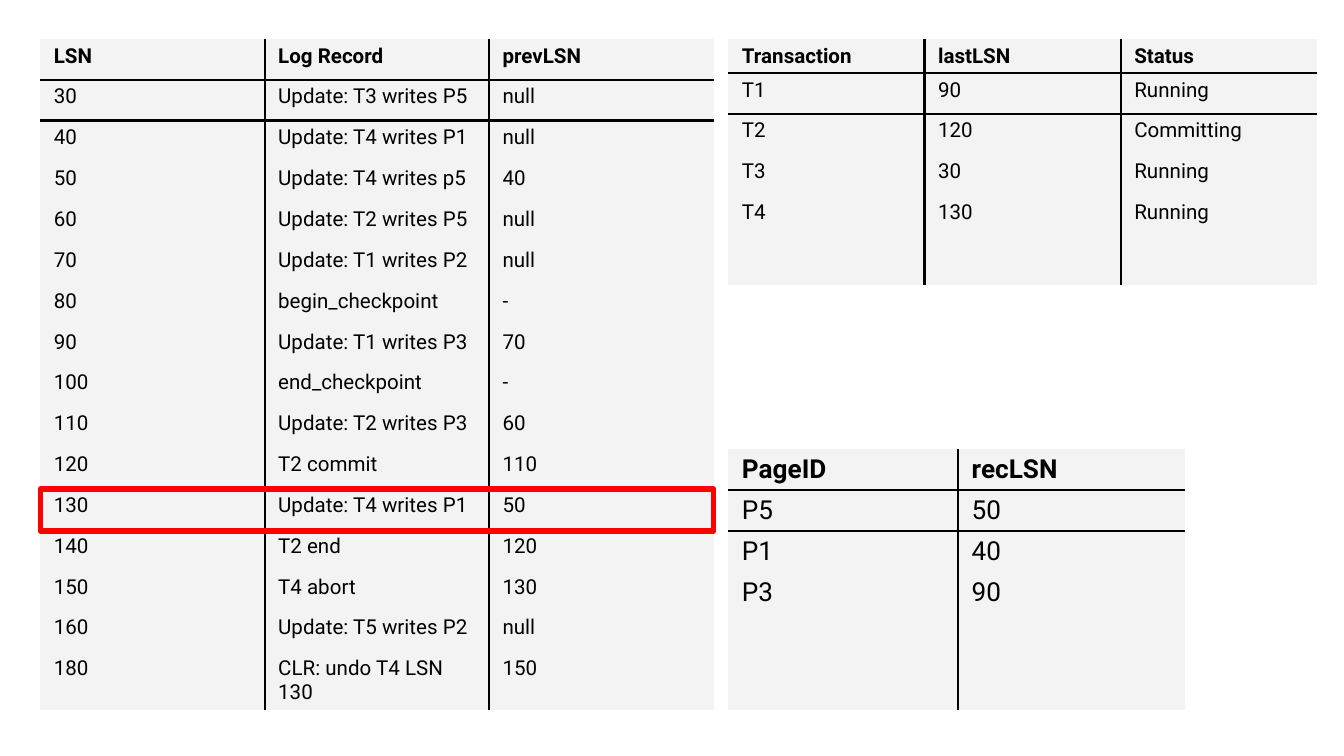
from lxml import etree
from pptx import Presentation
from pptx.dml.color import RGBColor
from pptx.enum.shapes import MSO_SHAPE
from pptx.oxml.ns import qn
from pptx.util import Inches, Pt

RECTANGLE = MSO_SHAPE.RECTANGLE
BLACK = RGBColor(0x00, 0x00, 0x00)
GRAY = RGBColor(0xF3, 0xF3, 0xF3)
RED = RGBColor(0xFF, 0x00, 0x00)
FONT = "Roboto"
PLAIN_STYLE = "{2D5ABB26-0587-4C30-8999-92F81FD0307C}"
ROW = int(Inches(4.56) / 15)
EMPTY_ROW = Inches(0.36)
CELL_PADDING = int(Inches(0.3) / 8)

LOG = [
    ("LSN", "Log Record", "prevLSN"),
    ("30", "Update: T3 writes P5", "null"),
    ("40", "Update: T4 writes P1", "null"),
    ("50", "Update: T4 writes p5", "40"),
    ("60", "Update: T2 writes P5", "null"),
    ("70", "Update: T1 writes P2", "null"),
    ("80", "begin_checkpoint", "-"),
    ("90", "Update: T1 writes P3", "70"),
    ("100", "end_checkpoint", "-"),
    ("110", "Update: T2 writes P3", "60"),
    ("120", "T2 commit", "110"),
    ("130", "Update: T4 writes P1", "50"),
    ("140", "T2 end", "120"),
    ("150", "T4 abort", "130"),
    ("160", "Update: T5 writes P2", "null"),
    ("180", "CLR: undo T4 LSN 130", "150"),
]
TRANSACTIONS = [
    ("Transaction", "lastLSN", "Status"),
    ("T1", "90", "Running"),
    ("T2", "120", "Committing"),
    ("T3", "30", "Running"),
    ("T4", "130", "Running"),
    ("", "", ""),
]
DIRTY_PAGES = [
    ("PageID", "recLSN"),
    ("P5", "50"),
    ("P1", "40"),
    ("P3", "90"),
    ("", ""),
    ("", ""),
]


def set_borders(cell, sides):
    tcPr = cell._tc.get_or_add_tcPr()
    for i, side in enumerate(sides):
        ln = etree.Element(qn("a:ln" + side), w=str(Pt(1.5)))
        fill = etree.SubElement(ln, qn("a:solidFill"))
        etree.SubElement(fill, qn("a:srgbClr"), val=str(BLACK))
        tcPr.insert(i, ln)


def fill_cell(cell, text, size, bold):
    cell.margin_left = cell.margin_right = Inches(0.1)
    cell.margin_top = cell.margin_bottom = CELL_PADDING
    cell.fill.solid()
    cell.fill.fore_color.rgb = GRAY
    cell.text_frame.text = text
    p = cell.text_frame.paragraphs[0]
    for r in p.runs:
        r.font.name = FONT
        r.font.size = Pt(size)
        r.font.bold = bold
        r.font.color.rgb = BLACK
    if not text:
        etree.SubElement(p._p, qn("a:endParaRPr"), sz=str(size * 100))


def add_grid(s, left, top, rows, widths, heights, size):
    last = len(widths) - 1
    frame = s.shapes.add_table(len(rows), len(widths), Inches(left), Inches(top),
                               sum(widths), sum(heights))
    table = frame.table
    table.first_row = table.horz_banding = False
    table._tbl.tblPr.find(qn("a:tableStyleId")).text = PLAIN_STYLE
    for column, width in zip(table.columns, widths):
        column.width = width
    for i, (row, height) in enumerate(zip(rows, heights)):
        table.rows[i].height = height
        for j, text in enumerate(row):
            cell = table.cell(i, j)
            fill_cell(cell, text, size, i == 0)
            shown = {"L": j > 0, "R": j < last, "T": i == 1, "B": i == 0}
            set_borders(cell, [side for side in shown if shown[side]])


def add_highlight(s, left, top, width, height):
    sp = s.shapes.add_shape(RECTANGLE, Inches(left), Inches(top),
                            Inches(width), Inches(height))
    sp.shadow.inherit = False
    sp.fill.background()
    sp.line.color.rgb = RED
    sp.line.width = Pt(3)


def main():
    prs = Presentation()
    prs.slide_width = Inches(10)
    prs.slide_height = int(prs.slide_width * 9 / 16)
    s = prs.slides.add_slide(prs.slide_layouts[6])
    add_grid(s, 0.3, 0.29, LOG, [Inches(1.67)] * 3, [ROW] * 16, 11)
    add_grid(s, 5.42, 0.29, TRANSACTIONS, [Inches(1.46)] * 3,
             [Inches(0.25)] + [ROW] * 4 + [EMPTY_ROW], 11)
    add_grid(s, 5.42, 3.34, DIRTY_PAGES, [Inches(1.71), Inches(1.69)],
             [ROW] * 4 + [EMPTY_ROW] * 2, 14)
    add_highlight(s, 0.3, 3.64, 5.01, 0.31)
    prs.save("out.pptx")


if __name__ == "__main__":
    main()
